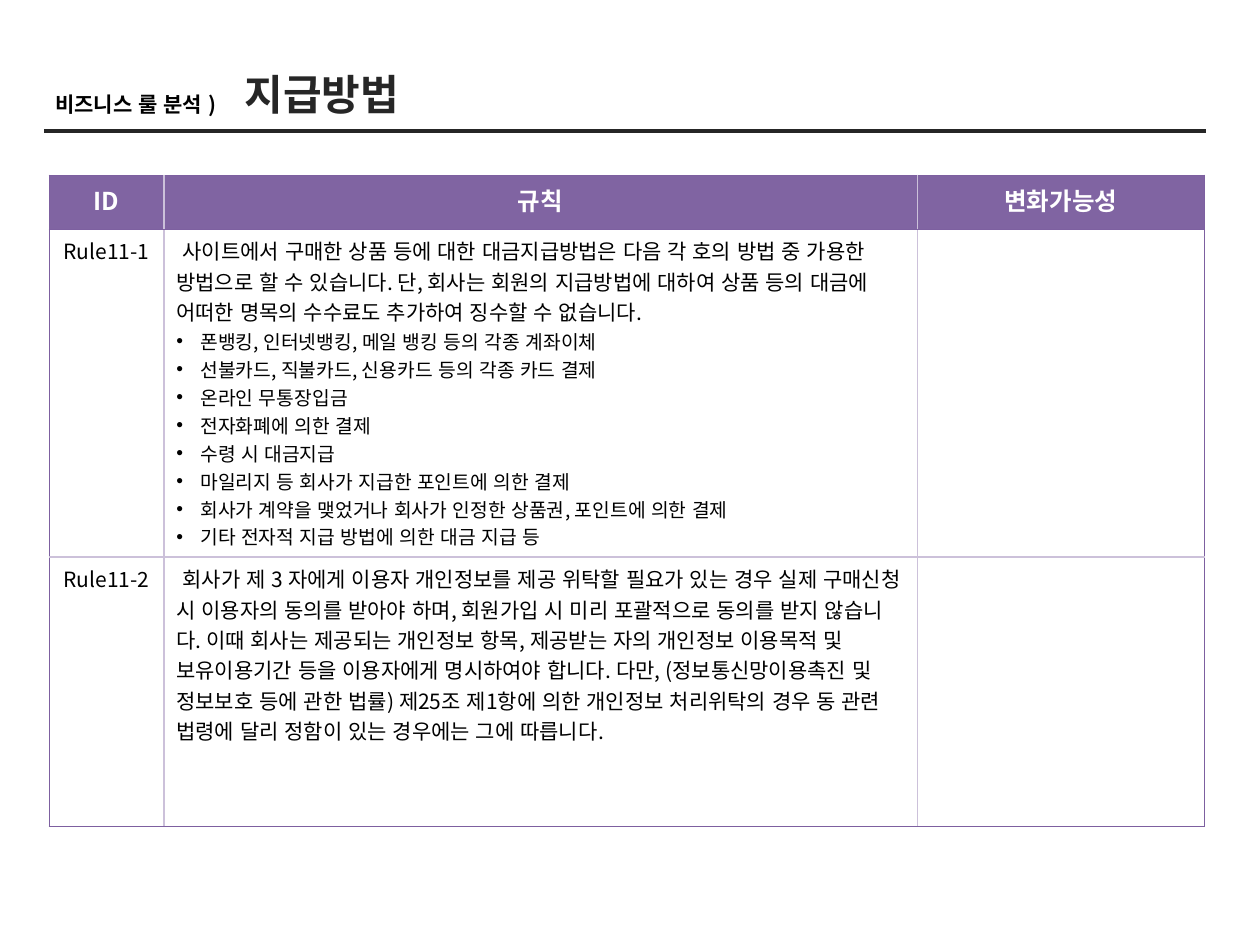
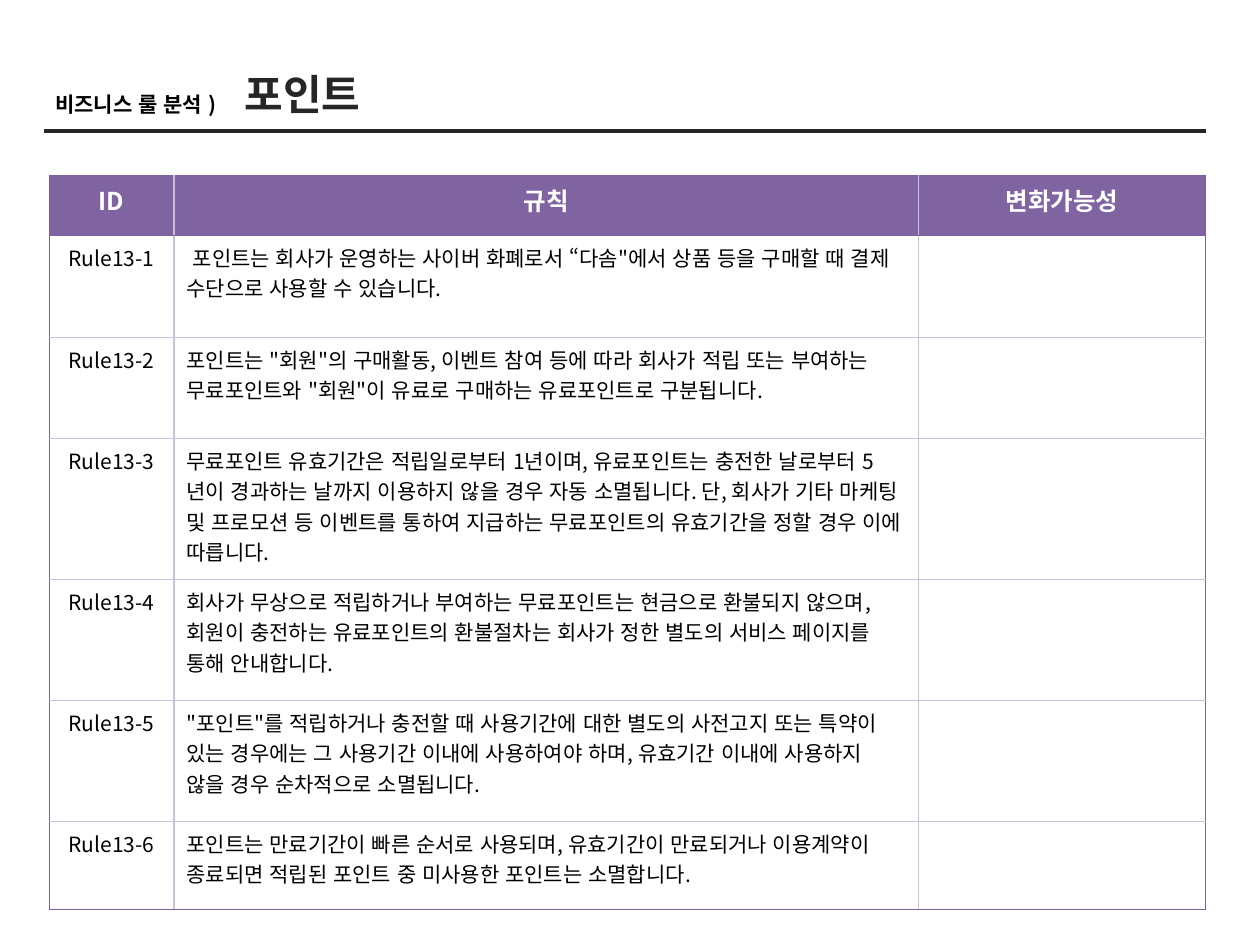
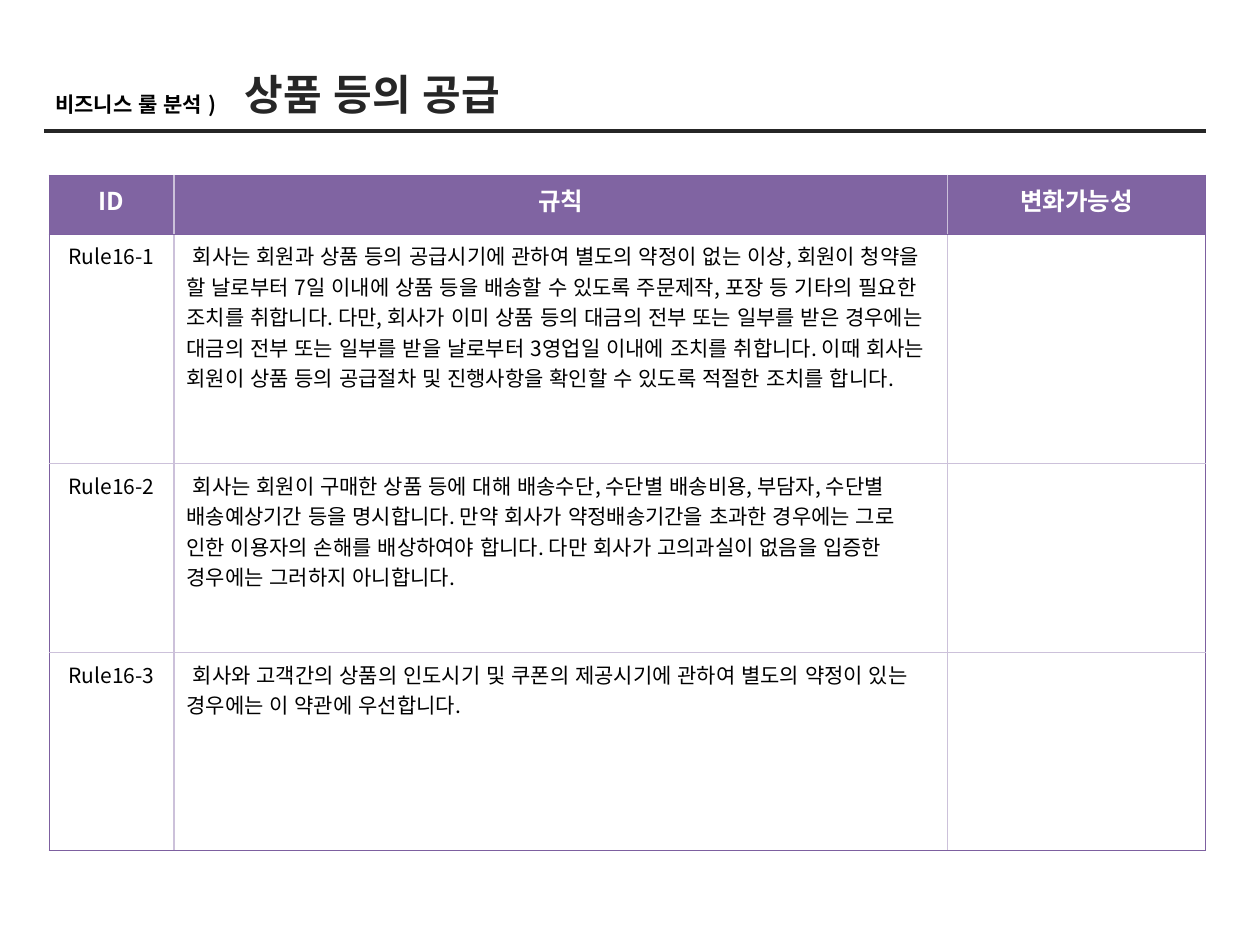
"""Builds three business-rule slides, each with a title line and a rule table."""
from lxml.etree import SubElement
from pptx import Presentation
from pptx.dml.color import RGBColor
from pptx.enum.lang import MSO_LANGUAGE_ID as Language
from pptx.enum.shapes import MSO_CONNECTOR as Connector
from pptx.enum.text import MSO_ANCHOR as Anchor, MSO_AUTO_SIZE as AutoSize, PP_ALIGN as Align
from pptx.oxml.ns import qn
from pptx.util import Inches, Pt

PURPLE = RGBColor(0x80, 0x64, 0xA2)
EDGE = RGBColor(0x7D, 0x60, 0xA0)
GRID = RGBColor(0xCC, 0xC1, 0xDA)
DARK = RGBColor(0x26, 0x26, 0x26)
BLACK = RGBColor(0, 0, 0)
WHITE = RGBColor(0xFF, 0xFF, 0xFF)
KOREAN_FONT = "Noto Sans CJK KR"
SECTION = "비즈니스 룰 분석 )"
HEADERS = ("ID", "규칙", "변화가능성")
TABLE_LEFT, TABLE_TOP = 0.39, 1.39
RULE_LEFT, RULE_RIGHT, RULE_TOP = 0.35, 9.57, 1.04
FIRST_LINE_INDENT, BULLET_INDENT = 0.05, 0.19

SLIDES = [
    {
        "title": "지급방법", "title_width": 1.55, "prefix": "Rule11", "indented_rules": 2,
        "columns": (0.91, 5.98, 2.28), "rows": (0.43, 2.6, 2.14),
        "rules": [
            ("사이트에서 구매한 상품 등에 대한 대금지급방법은 다음 각 호의 방법 중 가용한 방법으로 할 수 있습니다. "
             "단, 회사는 회원의 지급방법에 대하여 상품 등의 대금에 어떠한 명목의 수수료도 추가하여 징수할 수 없습니다.",
             "폰뱅킹, 인터넷뱅킹, 메일 뱅킹 등의 각종 계좌이체",
             "선불카드, 직불카드, 신용카드 등의 각종 카드 결제",
             "온라인 무통장입금",
             "전자화폐에 의한 결제",
             "수령 시 대금지급",
             "마일리지 등 회사가 지급한 포인트에 의한 결제",
             "회사가 계약을 맺었거나 회사가 인정한 상품권, 포인트에 의한 결제",
             "기타 전자적 지급 방법에 의한 대금 지급 등"),
            ("회사가 제 3 자에게 이용자 개인정보를 제공 위탁할 필요가 있는 경우 실제 구매신청 시 이용자의 동의를 "
             "받아야 하며, 회원가입 시 미리 포괄적으로 동의를 받지 않습니다. 이때 회사는 제공되는 개인정보 항목, "
             "제공받는 자의 개인정보 이용목적 및 보유이용기간 등을 이용자에게 명시하여야 합니다. 다만, "
             "(정보통신망이용촉진 및 정보보호 등에 관한 법률) 제25조 제1항에 의한 개인정보 처리위탁의 경우 "
             "동 관련 법령에 달리 정함이 있는 경우에는 그에 따릅니다.",),
        ],
    },
    {
        "title": "포인트", "title_width": 1.21, "prefix": "Rule13", "indented_rules": 1,
        "columns": (0.99, 5.91, 2.28), "rows": (0.48, 0.81, 0.8, 1.12, 0.96, 0.96, 0.7),
        "rules": [
            ("포인트는 회사가 운영하는 사이버 화폐로서 “다솜\"에서 상품 등을 구매할 때 결제 수단으로 사용할 수 있습니다.",),
            ("포인트는 \"회원\"의 구매활동, 이벤트 참여 등에 따라 회사가 적립 또는 부여하는 무료포인트와 "
             "\"회원\"이 유료로 구매하는 유료포인트로 구분됩니다.",),
            ("무료포인트 유효기간은 적립일로부터 1년이며, 유료포인트는 충전한 날로부터 5년이 경과하는 날까지 이용하지 "
             "않을 경우 자동 소멸됩니다. 단, 회사가 기타 마케팅 및 프로모션 등 이벤트를 통하여 지급하는 "
             "무료포인트의 유효기간을 정할 경우 이에 따릅니다.",),
            ("회사가 무상으로 적립하거나 부여하는 무료포인트는 현금으로 환불되지 않으며, 회원이 충전하는 "
             "유료포인트의 환불절차는 회사가 정한 별도의 서비스 페이지를 통해 안내합니다.",),
            ("\"포인트\"를 적립하거나 충전할 때 사용기간에 대한 별도의 사전고지 또는 특약이 있는 경우에는 그 "
             "사용기간 이내에 사용하여야 하며, 유효기간 이내에 사용하지 않을 경우 순차적으로 소멸됩니다.",),
            ("포인트는 만료기간이 빠른 순서로 사용되며, 유효기간이 만료되거나 이용계약이 종료되면 적립된 포인트 중 "
             "미사용한 포인트는 소멸합니다.",),
        ],
    },
    {
        "title": "상품 등의 공급", "title_width": 2.46, "prefix": "Rule16", "indented_rules": 3,
        "columns": (0.99, 6.14, 2.05), "rows": (0.47, 1.82, 1.5, 1.57),
        "rules": [
            ("회사는 회원과 상품 등의 공급시기에 관하여 별도의 약정이 없는 이상, 회원이 청약을 할 날로부터 7일 이내에 "
             "상품 등을 배송할 수 있도록 주문제작, 포장 등 기타의 필요한 조치를 취합니다. 다만, 회사가 이미 상품 등의 "
             "대금의 전부 또는 일부를 받은 경우에는 대금의 전부 또는 일부를 받을 날로부터 3영업일 이내에 조치를 "
             "취합니다. 이때 회사는 회원이 상품 등의 공급절차 및 진행사항을 확인할 수 있도록 적절한 조치를 합니다.",),
            ("회사는 회원이 구매한 상품 등에 대해 배송수단, 수단별 배송비용, 부담자, 수단별 배송예상기간 등을 "
             "명시합니다. 만약 회사가 약정배송기간을 초과한 경우에는 그로 인한 이용자의 손해를 배상하여야 합니다. "
             "다만 회사가 고의과실이 없음을 입증한 경우에는 그러하지 아니합니다.",),
            ("회사와 고객간의 상품의 인도시기 및 쿠폰의 제공시기에 관하여 별도의 약정이 있는 경우에는 "
             "이 약관에 우선합니다.",),
        ],
    },
]


def format_paragraph(paragraph, size, color, bold=False, align=Align.LEFT, font=KOREAN_FONT):
    paragraph.alignment = align
    for run in paragraph.runs:
        run.font.name = font
        run.font.size = Pt(size)
        run.font.bold = bold
        run.font.color.rgb = color
        run.font.language_id = Language.KOREAN
        SubElement(run.font._element, qn("a:ea"), typeface=KOREAN_FONT)


def set_indent(paragraph, margin, indent, bullet=None):
    properties = paragraph._p.get_or_add_pPr()
    properties.set("marL", str(Inches(margin)))
    properties.set("indent", str(Inches(indent)))
    if bullet:
        SubElement(properties, qn("a:buFont"), typeface="Arial")
        SubElement(properties, qn("a:buChar"), char=bullet)


def set_heading(shape, text, box, size, color, font=KOREAN_FONT):
    shape.left, shape.top, shape.width, shape.height = map(Inches, box)
    frame = shape.text_frame
    frame.text = text
    frame.word_wrap = False
    frame.auto_size = AutoSize.SHAPE_TO_FIT_TEXT
    frame.vertical_anchor = Anchor.TOP
    format_paragraph(frame.paragraphs[0], size, color, True, font=font)


def add_heading(slide, title, title_width):
    set_heading(slide.shapes.title, title, (1.84, 0.49, title_width, 0.5), 24, DARK, "Arial")
    section = slide.shapes.add_textbox(0, 0, 0, 0)
    set_heading(section, SECTION, (0.34, 0.68, 1.62, 0.3), 12, BLACK)
    line = slide.shapes.add_connector(
        Connector.STRAIGHT, *map(Inches, (RULE_LEFT, RULE_TOP, RULE_RIGHT, RULE_TOP)))
    line.line.color.rgb = DARK
    line.line.width = Pt(2.25)
    SubElement(line._element.spPr, qn("a:effectLst"))


def set_borders(cell, on_edge):
    properties = cell._tc.get_or_add_tcPr()
    for position, (side, is_edge) in enumerate(on_edge.items()):
        color, width = (EDGE, 0.75) if is_edge else (GRID, 1)
        border = SubElement(properties, qn(f"a:ln{side}"), w=str(Pt(width)))
        fill = SubElement(border, qn("a:solidFill"))
        SubElement(fill, qn("a:srgbClr"), val=str(color))
        properties.insert(position, border)


def fill_rule(cell, texts, indented):
    frame = cell.text_frame
    frame.text = "\n".join(texts)
    first, *items = frame.paragraphs
    if indented:
        set_indent(first, 0, FIRST_LINE_INDENT)
    format_paragraph(first, 12, BLACK)
    for item in items:
        set_indent(item, BULLET_INDENT, -BULLET_INDENT, "•")
        format_paragraph(item, 11, BLACK)


def add_rule_table(slide, content):
    columns, rows = content["columns"], content["rows"]
    box = (TABLE_LEFT, TABLE_TOP, sum(columns), sum(rows))
    table = slide.shapes.add_table(len(rows), len(columns), *map(Inches, box)).table
    for column, width in zip(table.columns, columns):
        column.width = Inches(width)
    for row, height in zip(table.rows, rows):
        row.height = Inches(height)

    for index, header in enumerate(HEADERS):
        cell = table.cell(0, index)
        cell.text_frame.text = header
        format_paragraph(cell.text_frame.paragraphs[0], 14, WHITE, True, Align.CENTER)
    for number, texts in enumerate(content["rules"], 1):
        label = table.cell(number, 0).text_frame
        label.text = f"{content['prefix']}-{number}"
        format_paragraph(label.paragraphs[0], 12, BLACK, align=Align.CENTER)
        fill_rule(table.cell(number, 1), texts, number <= content["indented_rules"])

    for row in range(len(rows)):
        for column in range(len(columns)):
            cell = table.cell(row, column)
            cell.fill.solid()
            cell.fill.fore_color.rgb = WHITE if row else PURPLE
            set_borders(cell, {
                "L": column == 0,
                "R": column == len(columns) - 1,
                "T": row <= 1,
                "B": row in (0, len(rows) - 1),
            })


def main():
    presentation = Presentation()
    presentation.slide_width, presentation.slide_height = Inches(10), Inches(7.5)
    for content in SLIDES:
        slide = presentation.slides.add_slide(presentation.slide_layouts[5])
        add_rule_table(slide, content)
        add_heading(slide, content["title"], content["title_width"])
    presentation.save("out.pptx")


if __name__ == "__main__":
    main()
